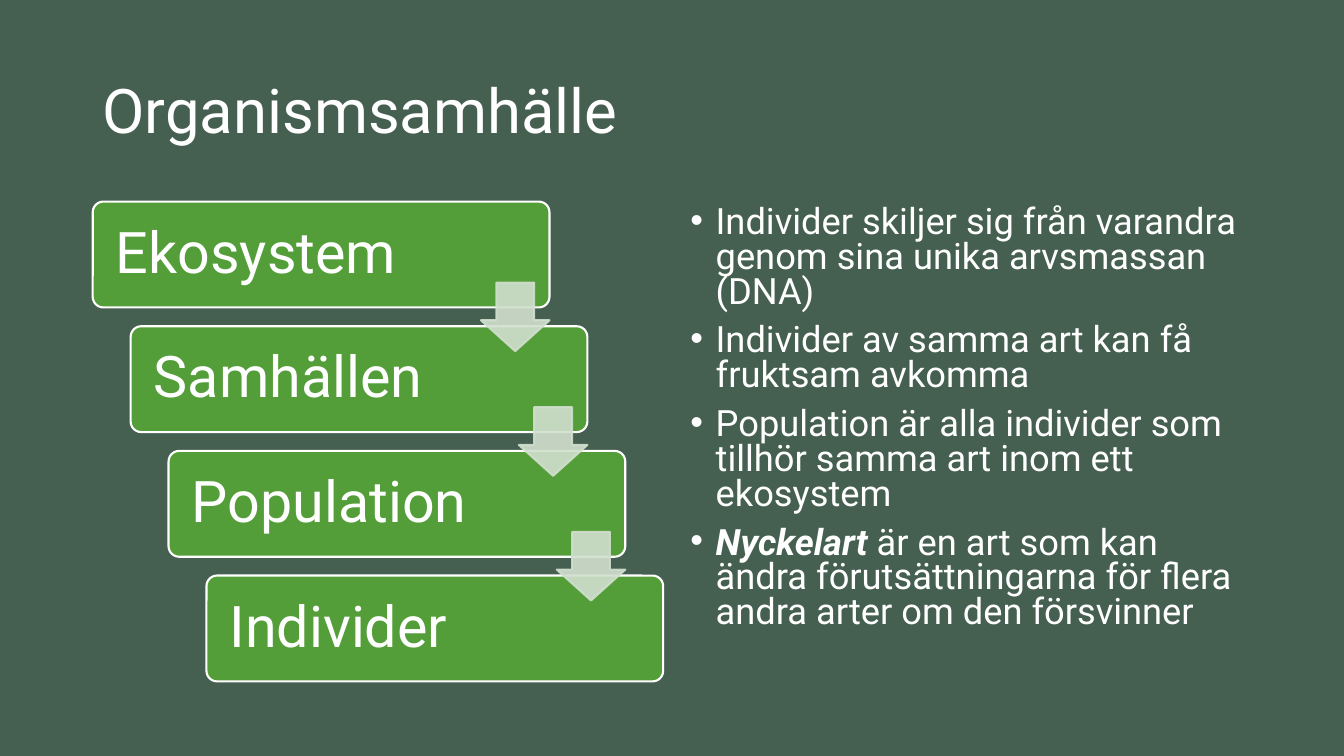
import pptx
import pptx.util
import pptx.dml.color
import pptx.enum.shapes
import pptx.enum.text
from dataclasses import dataclass
from lxml import etree

TITLE = "Organismsamhälle"
LEVELS = ["Ekosystem", "Samhällen", "Population", "Individer"]
# Each point: (stressed opening, rest)
POINTS = [
    ("", "Individer skiljer sig från varandra genom sina unika arvsmassan (DNA)"),
    ("", "Individer av samma art kan få fruktsam avkomma"),
    ("", "Population är alla individer som tillhör samma art inom ett ekosystem"),
    ("Nyckelart", " är en art som kan ändra förutsättningarna för flera andra arter "
                  "om den försvinner"),
]


@dataclass(frozen=True)
class Theme:
    font: str = "Roboto"
    back: str = "455F51"
    step: str = "549E39"
    arrow: str = "D1DFCE"
    text: str = "FFFFFF"
    title: float = 44
    label: float = 41
    body: float = 25.9
    line: float = 1.5


THEME = Theme()
WIDE, HIGH = 13.33, 7.5
LEFT, TOP, BASE = 0.92, 2, 6.76     # content area
STEP_W, STEP_H = 4.53, 1.05
SHIFT = 0.376                       # indent of each step
DROP = (BASE - TOP - STEP_H) / (len(LEVELS) - 1)
ARROW = 0.68

Inches, Pt = pptx.util.Inches, pptx.util.Pt
SHAPE = pptx.enum.shapes.MSO_SHAPE
MIDDLE = pptx.enum.text.MSO_ANCHOR.MIDDLE
TOP_SIDE = pptx.enum.text.MSO_ANCHOR.TOP
ALIGN = pptx.enum.text.PP_ALIGN
NS = "{http://schemas.openxmlformats.org/drawingml/2006/main}"


def rgb(code):
    return pptx.dml.color.RGBColor.from_string(code)


def style(para, size, space):
    para.alignment = ALIGN.LEFT
    para.line_spacing = space
    for run in para.runs:
        run.font.name = THEME.font
        run.font.size = Pt(size)
        run.font.color.rgb = rgb(THEME.text)


def frame(shape, anchor, pad=0.1):
    text = shape.text_frame
    text.word_wrap = True
    text.vertical_anchor = anchor
    text.margin_left = text.margin_right = Inches(pad)
    return text


def add_text(slide, x, y, w, h, anchor):
    box = slide.shapes.add_textbox(Inches(x), Inches(y), Inches(w), Inches(h))
    return frame(box, anchor)


def add_form(slide, kind, x, y, w, h, fill, line, adjust):
    form = slide.shapes.add_shape(kind, Inches(x), Inches(y), Inches(w), Inches(h))
    for i, value in enumerate(adjust):
        form.adjustments[i] = value
    form.shadow.inherit = False
    form.fill.solid()
    form.fill.fore_color.rgb = rgb(fill)
    form.line.color.rgb = rgb(line)
    form.line.width = Pt(THEME.line)
    return form


def fade(form, share):
    """Set the opacity of fill and line, in percent."""
    for color in form.element.spPr.iter(NS + "srgbClr"):
        etree.SubElement(color, NS + "alpha", val=str(share * 1000))


def add_steps(slide):
    spots = [(LEFT + i * SHIFT, TOP + i * DROP) for i in range(len(LEVELS))]
    for name, (x, y) in zip(LEVELS, spots):
        step = add_form(slide, SHAPE.ROUNDED_RECTANGLE, x, y, STEP_W, STEP_H,
                        THEME.step, THEME.text, [0.1])
        text = frame(step, MIDDLE, 0.2)
        text.text = name
        style(text.paragraphs[0], THEME.label, 0.9)
    for x, y in spots[:-1]:
        gap = y + (STEP_H + DROP) / 2
        arrow = add_form(slide, SHAPE.DOWN_ARROW, x + STEP_W - ARROW, gap - ARROW / 2,
                         ARROW, ARROW, THEME.arrow, THEME.arrow, [0.55, 0.45])
        fade(arrow, 90)


def add_points(slide):
    text = add_text(slide, 6.75, TOP, 5.67, BASE - TOP, TOP_SIDE)
    for i, (lead, rest) in enumerate(POINTS):
        para = text.paragraphs[0] if i == 0 else text.add_paragraph()
        props = para._p.get_or_add_pPr()
        props.set("marL", str(Inches(0.25)))
        props.set("indent", str(-Inches(0.25)))
        etree.SubElement(props, NS + "buFont", typeface="Arial")
        etree.SubElement(props, NS + "buChar", char="•")
        if lead:
            run = para.add_run()
            run.text = lead
            run.font.bold = run.font.italic = True
        para.add_run().text = rest
        style(para, THEME.body, 0.8)
        if i:
            para.space_before = Pt(10)


def main():
    deck = pptx.Presentation()
    deck.slide_width, deck.slide_height = Inches(WIDE), Inches(HIGH)
    slide = deck.slides.add_slide(deck.slide_layouts[6])
    slide.background.fill.solid()
    slide.background.fill.fore_color.rgb = rgb(THEME.back)
    title = add_text(slide, LEFT, 0.4, 11.5, 1.45, MIDDLE)
    title.text = TITLE
    style(title.paragraphs[0], THEME.title, 0.9)
    add_steps(slide)
    add_points(slide)
    deck.save("out.pptx")


if __name__ == "__main__":
    main()
